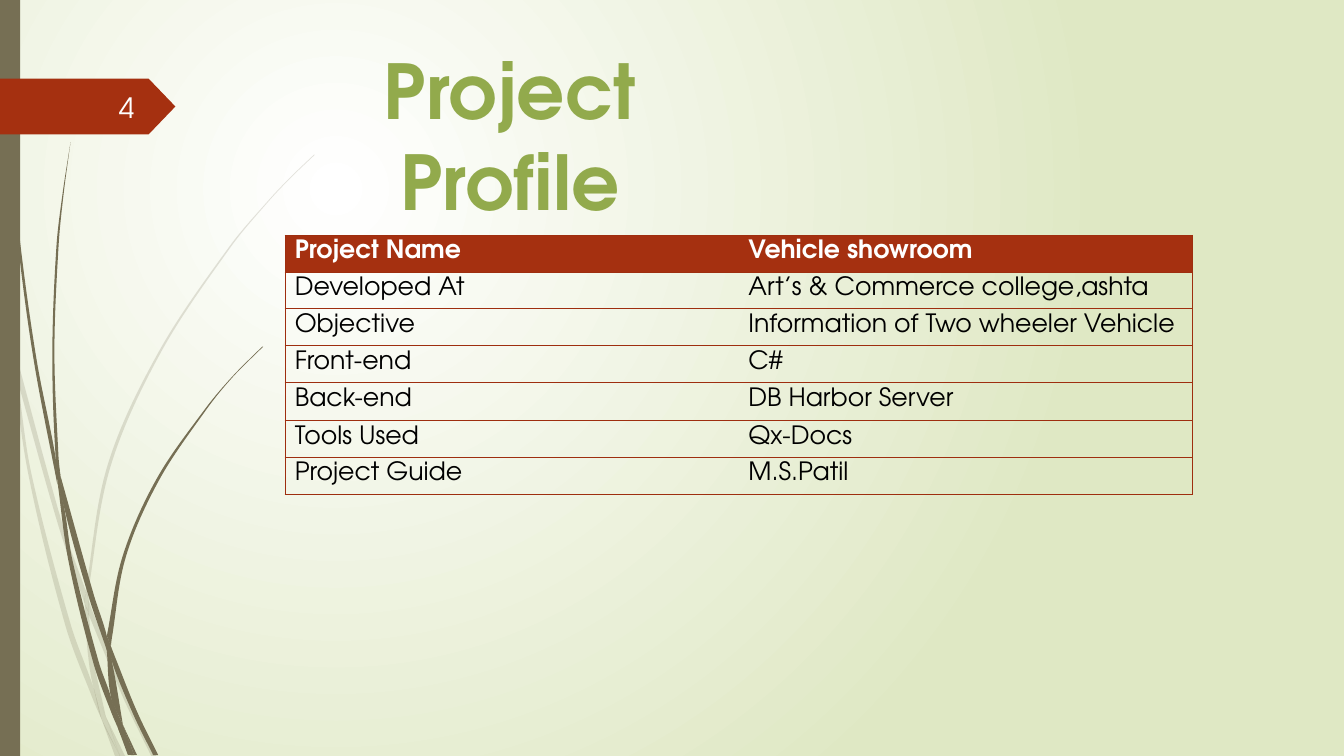
from dataclasses import dataclass

from pptx import Presentation
from pptx.dml.color import RGBColor
from pptx.enum.shapes import MSO_SHAPE
from pptx.enum.text import MSO_ANCHOR, MSO_AUTO_SIZE, PP_ALIGN
from pptx.oxml import parse_xml
from pptx.oxml.ns import nsdecls, qn
from pptx.util import Pt

RECT, PLATE = MSO_SHAPE.RECTANGLE, MSO_SHAPE.PENTAGON
TOP, MID = MSO_ANCHOR.TOP, MSO_ANCHOR.MIDDLE
LEFT, MIDST, RIGHT = PP_ALIGN.LEFT, PP_ALIGN.CENTER, PP_ALIGN.RIGHT
FIXED = MSO_AUTO_SIZE.NONE


@dataclass(frozen=True)
class Theme:
    """Colours, font and type sizes of the slide."""
    white: str = "FFFFFF"
    mist: str = "DFE8C4"
    bark: str = "766F54"
    rust: str = "A53010"
    rule: str = "9E2E0F"
    leaf: str = "92AA4C"
    snow: str = "FEFFFF"
    ink: str = "000000"
    font: str = "TeX Gyre Adventor"
    head: float = 54
    page: float = 20
    cell: float = 18


THEME = Theme()
WIDE, HIGH = 960, 540
TITLE = "Project Profile"
PAGE = "4"
ROWS = [
    ("Project Name", "Vehicle showroom"),
    ("Developed At", "Art’s & Commerce college,ashta"),
    ("Objective", "Information of Two wheeler Vehicle"),
    ("Front-end", "C#"),
    ("Back-end", "DB Harbor Server"),
    ("Tools Used", "Qx-Docs"),
    ("Project Guide", "M.S.Patil"),
]
ROW, TALL = 26.3, 27.2

# Each part of a grass blade is its left and right edge, as (x, y) knots.
PALE = [
    ([(0, 215.3), (7.2, 247.7), (7.9, 252)],
     [(0, 203), (6.5, 231.8), (7.9, 252)]),
    ([(12.2, 270.7), (41.8, 375.8), (60.5, 431.3)],
     [(10.1, 248.4), (44.6, 374.4), (61.2, 421.9)]),
    ([(63.4, 439.2), (88.6, 499.7), (108, 540)],
     [(63.4, 429.1), (66.2, 437), (91.4, 498.2), (111.6, 540)]),
    ([(75.6, 511.9), (85.7, 540)], [(75.6, 511.9), (89.3, 540)]),
    ([(7.9, 252), (20.2, 338.4), (46.8, 447.1), (66.2, 499), (72.7, 514.1)],
     [(7.9, 252), (12.2, 270.7), (22.3, 337.7), (50.4, 445.7), (67, 491.8),
      (72.7, 514.1)]),
    ([(60.5, 431.3), (62.6, 465.1), (67, 491.8), (75.6, 511.9)],
     [(60.5, 431.3), (63.4, 437.8), (65.5, 465.1), (75.6, 511.9)]),
    ([(224.6, 110.2), (208.1, 126), (193, 141.8), (164.2, 175.7),
      (113.8, 250.6), (77, 331.9), (61.2, 421.9)],
     [(224.6, 110.9), (208.8, 126), (193, 142.6), (164.9, 176.4),
      (115.2, 251.3), (79.2, 332.6), (63.4, 420.5), (63.4, 429.1)]),
    ([(72.7, 514.1), (82.1, 540)], [(72.7, 514.1), (85.7, 540)]),
    ([(61.2, 421.9), (60.5, 431.3), (63.4, 437.8)],
     [(61.2, 421.9), (63.4, 429.1), (63.4, 439.2)]),
    ([(67, 491.8), (72.7, 514.1), (85.7, 540)],
     [(67, 491.8), (69.1, 498.2), (75.6, 511.9), (85.7, 540)]),
]
DARK = [
    ([(2.2, 0), (2.9, 34.6), (5, 79.2), (12.2, 167.8), (23.8, 255.6),
      (41, 346.3)],
     [(2.9, 0), (3.6, 34.6), (5.8, 78.5), (13.7, 167), (25.9, 255.6),
      (39.6, 326.2), (41, 346.3)]),
    ([(43.2, 339.8), (46.1, 363.6), (63.4, 426.2), (76.3, 464.4)],
     [(43.2, 339.8), (67, 424.8), (76.3, 454.3), (76.3, 464.4)]),
    ([(79.2, 461.5), (79.9, 472.3), (95, 509.8), (109.4, 539.3)],
     [(79.2, 461.5), (81.4, 467.3), (97.9, 508.3), (113, 539.3)]),
    ([(41, 343.4), (49, 401), (67, 474.5), (79.9, 509.8), (84.2, 519.8)],
     [(41, 343.4), (46.1, 363.6), (51.8, 400.3), (70.6, 473), (79.2, 497.5),
      (84.2, 519.8)]),
    ([(50.4, 101.5), (44.6, 139), (40.3, 176.4), (37.4, 251.3),
      (39.6, 323.3), (43.2, 339.8)],
     [(50.4, 101.5), (45.4, 139), (41.8, 176.4), (38.9, 251.3),
      (41.8, 326.2), (43.2, 339.8)]),
    ([(87.8, 517.7), (95.8, 539.3)], [(87.8, 517.7), (97.9, 539.3)]),
    ([(39.6, 323.3), (41, 343.4), (46.1, 363.6)],
     [(39.6, 323.3), (43.2, 339.8), (46.1, 363.6)]),
    ([(187.2, 247.7), (166.3, 268.6), (146.9, 291.6), (112.3, 341.3),
      (87.8, 396.7), (76.3, 454.3)],
     [(187.9, 247.7), (166.3, 269.3), (147.6, 292.3), (113.8, 342.7),
      (90, 397.4), (79.9, 455.8), (79.2, 461.5)]),
    ([(84.2, 519.8), (91.4, 539.3)], [(84.2, 519.8), (94.3, 539.3)]),
    ([(76.3, 464.4), (79.2, 497.5), (87.8, 517.7)],
     [(76.3, 464.4), (79.9, 472.3), (87.8, 517.7)]),
    ([(76.3, 454.3), (76.3, 464.4), (79.9, 472.3)],
     [(76.3, 454.3), (79.2, 461.5), (79.9, 472.3)]),
    ([(79.2, 497.5), (84.2, 519.8), (93.6, 539.3)],
     [(79.2, 497.5), (83.5, 508.3), (87.8, 517.7), (95.8, 539.3)]),
]


def tint(code):
    """Turn a hex code into a colour."""
    return RGBColor.from_string(code)


def paint(shape, code, alpha=None):
    """Fill a shape flat, without line or shadow."""
    shape.shadow.inherit = False
    shape.line.fill.background()
    shape.fill.solid()
    shape.fill.fore_color.rgb = tint(code)
    if alpha:
        mark = shape.element.spPr.find(".//" + qn("a:srgbClr"))
        mark.append(parse_xml(
            f'<a:alpha {nsdecls("a")} val="{alpha * 1000}"/>'))


def write(frame, text, size, code, align, bold=False):
    """Put one formatted run in a text frame."""
    para = frame.paragraphs[0]
    para.alignment = align
    run = para.add_run()
    run.text = text
    font = run.font
    font.name, font.size, font.bold = THEME.font, Pt(size), bold
    font.color.rgb = tint(code)


def curve(knots):
    """Return the knots with two Bezier handles between each pair."""
    last = len(knots) - 1
    slopes = []
    for i in range(last + 1):
        (xa, ya), (xb, yb) = knots[max(i - 1, 0)], knots[min(i + 1, last)]
        slopes.append((xb - xa) / (yb - ya))
    dots = [knots[0]]
    for i in range(last):
        (xa, ya), (xb, yb) = knots[i], knots[i + 1]
        third = (yb - ya) / 3
        dots += [(xa + slopes[i] * third, ya + third),
                 (xb - slopes[i + 1] * third, yb - third), (xb, yb)]
    return dots


def blade(slide, near, far, alpha=None):
    """Draw one part of a grass blade with curved edges."""
    back = curve(far)[::-1]
    dots = curve(near)
    dots += [dots[-1], back[0]] + back
    dots = [(Pt(x), Pt(y)) for x, y in dots]
    form = slide.shapes.build_freeform(*dots[0], scale=1.0)
    form.add_line_segments(dots[1:], close=True)
    shape = form.convert_to_shape()
    lines = list(shape.element.iter(qn("a:lnTo")))
    for i in range(0, len(lines) - 2, 3):
        bend = parse_xml(f'<a:cubicBezTo {nsdecls("a")}/>')
        lines[i].addprevious(bend)
        for line in lines[i:i + 3]:
            bend.append(line[0])
            line.getparent().remove(line)
    paint(shape, THEME.bark, alpha)


def backdrop(slide):
    """Give the slide its round glow."""
    fill = slide.background.fill
    fill.gradient()
    for stop, code in zip(fill.gradient_stops, (THEME.white, THEME.mist)):
        stop.color.rgb = tint(code)
    line = slide.element.find(".//" + qn("a:lin"))
    line.getparent().replace(line, parse_xml(
        f'<a:path {nsdecls("a")} path="circle"><a:fillToRect l="50000" '
        't="50000" r="100000" b="100000"/></a:path>'))


def border(cell, sides):
    """Rule the named sides of a cell and clear the others."""
    props = cell._tc.get_or_add_tcPr()
    for i, side in enumerate("LRTB"):
        ink = (f'<a:solidFill><a:srgbClr val="{THEME.rule}"/></a:solidFill>'
               if side in sides else "<a:noFill/>")
        props.insert(i, parse_xml(
            f'<a:ln{side} {nsdecls("a")} w="{Pt(0.75)}">{ink}</a:ln{side}>'))


def grid(slide):
    """Add the table of project facts."""
    table = slide.shapes.add_table(len(ROWS), 2, Pt(203.7), Pt(168), Pt(648),
                                   Pt(ROW * len(ROWS))).table
    table.first_row = table.horz_banding = False
    for r, facts in enumerate(ROWS):
        table.rows[r].height = Pt(TALL if r == 4 else ROW)
        for c, text in enumerate(facts):
            cell = table.cell(r, c)
            cell.margin_top, cell.margin_bottom = Pt(3.6), 0
            cell.margin_left = cell.margin_right = Pt(6.9)
            cell.vertical_anchor = TOP
            if r == 0:
                cell.fill.solid()
                cell.fill.fore_color.rgb = tint(THEME.rust)
            else:
                cell.fill.background()
            border(cell, "LR"[c] + "TB")
            write(cell.text_frame, text, THEME.cell,
                  THEME.ink if r else THEME.white, LEFT, r == 0)


def main():
    """Build and save the slide."""
    deck = Presentation()
    deck.slide_width, deck.slide_height = Pt(WIDE), Pt(HIGH)
    slide = deck.slides.add_slide(deck.slide_layouts[5])
    shapes = slide.shapes
    backdrop(slide)
    for parts, alpha in ((PALE, 20), (DARK, None)):
        for near, far in parts:
            blade(slide, near, far, alpha)
    paint(shapes.add_shape(RECT, 0, 0, Pt(14.4), Pt(HIGH)), THEME.bark)
    flag = shapes.add_shape(PLATE, 0, Pt(56.2), Pt(125.3), Pt(39.8))
    flag.adjustments[0] = 0.48
    paint(flag, THEME.rust)
    grid(slide)

    title = shapes.title
    title.left, title.top = Pt(190.8), Pt(28.1)
    title.width, title.height = Pt(347), Pt(72.7)
    frame = title.text_frame
    frame.auto_size, frame.word_wrap = FIXED, True
    frame.vertical_anchor = TOP
    write(frame, TITLE, THEME.head, THEME.leaf, MIDST, True)

    box = shapes.add_textbox(Pt(41.8), Pt(61.9), Pt(61.2), Pt(28.8))
    box.text_frame.word_wrap = True
    box.text_frame.vertical_anchor = MID
    write(box.text_frame, PAGE, THEME.page, THEME.snow, RIGHT)
    deck.save("out.pptx")


main()
